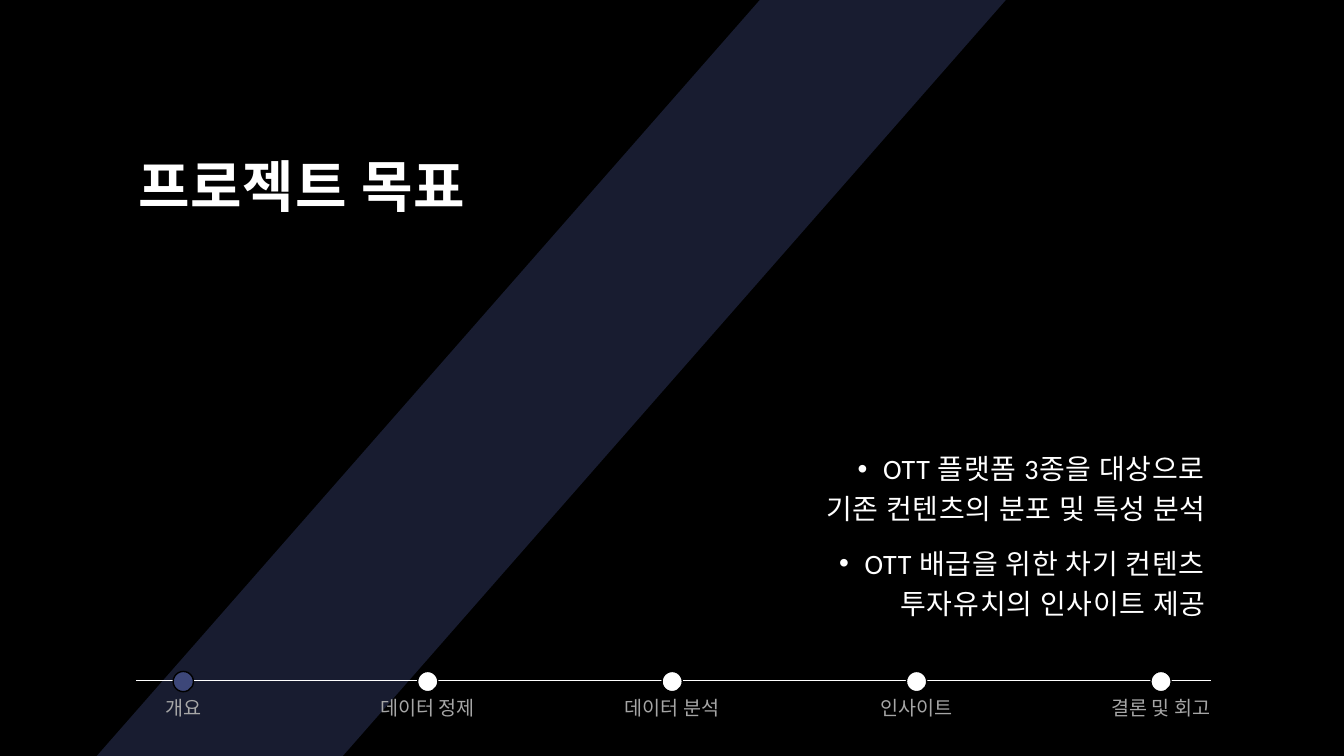
import pptx
import pptx.dml.color
import pptx.enum.shapes
import pptx.enum.text
import pptx.oxml.ns
import pptx.util
from lxml import etree

Cm = pptx.util.Cm
Pt = pptx.util.Pt
RGBColor = pptx.dml.color.RGBColor
Align = pptx.enum.text.PP_ALIGN
Anchor = pptx.enum.text.MSO_ANCHOR
qn = pptx.oxml.ns.qn

BLACK = RGBColor(0x00, 0x00, 0x00)
WHITE = RGBColor(0xFF, 0xFF, 0xFF)
NAVY = RGBColor(0x18, 0x1C, 0x30)
INDIGO = RGBColor(0x3D, 0x47, 0x79)
GREY = RGBColor(0xA6, 0xA6, 0xA6)

FONT = "Calibri"
STEPS = ["개요", "데이터 정제", "데이터 분석", "인사이트", "결론 및 회고"]
GOALS = [
    ["OTT 플랫폼 3종을 대상으로", "기존 컨텐츠의 분포 및 특성 분석"],
    ["OTT 배급을 위한 차기 컨텐츠", "투자유치의 인사이트 제공"],
]


def add_band(page):
    """Draw the diagonal band behind the text."""
    corners = [(19.15, 0), (25.35, 0), (8.64, 19.05), (2.44, 19.05)]
    points = [(Cm(x), Cm(y)) for x, y in corners]
    builder = page.shapes.build_freeform(*points[0])
    builder.add_line_segments(points[1:], close=True)
    band = builder.convert_to_shape()
    band.shadow.inherit = False
    band.fill.solid()
    band.fill.fore_color.rgb = NAVY
    band.line.fill.background()


def add_box(page, left, top, width, height):
    """Add a wrapping text box and return its text frame."""
    box = page.shapes.add_textbox(Cm(left), Cm(top), Cm(width), Cm(height))
    box.text_frame.word_wrap = True
    return box.text_frame


def set_margins(frame):
    """Apply the wider margins of the title and the goals."""
    frame.margin_left = frame.margin_right = frame.margin_top = Cm(0.3)
    frame.margin_bottom = Cm(0.25)


def add_span(para, text, size, color, bold=False, spacing=0):
    """Add one formatted run, with letter spacing in points."""
    span = para.add_run()
    span.text = text
    span.font.name = FONT
    span.font.size = Pt(size)
    span.font.bold = bold
    span.font.color.rgb = color
    if spacing:
        span.font._element.set("spc", str(round(spacing * 100)))


def add_bullet(para):
    """Give a paragraph a round bullet with a hanging indent."""
    properties = para._p.get_or_add_pPr()
    properties.set("marL", str(Cm(0.64)))
    properties.set("indent", str(Cm(-0.64)))
    font = etree.SubElement(properties, qn("a:buFont"))
    font.set("typeface", "Arial")
    bullet = etree.SubElement(properties, qn("a:buChar"))
    bullet.set("char", "•")


def add_title(page, text):
    """Add the slide title."""
    frame = add_box(page, 3.18, 3.35, 10.62, 5.33)
    set_margins(frame)
    para = frame.paragraphs[0]
    para.line_spacing = 1.1
    add_span(para, text, 40, WHITE, bold=True, spacing=0.7)


def add_goals(page, goals):
    """Add the right-aligned bulleted goals."""
    frame = add_box(page, 17.98, 6.91, 12.7, 8.97)
    set_margins(frame)
    frame.vertical_anchor = Anchor.BOTTOM
    for index, lines in enumerate(goals):
        para = frame.add_paragraph() if index else frame.paragraphs[0]
        para.alignment = Align.RIGHT
        para.line_spacing = 1.2
        para.space_before = Pt(10)
        add_bullet(para)
        for number, line in enumerate(lines):
            if number:
                para.add_line_break()
            add_span(para, line, 20, WHITE, spacing=0.5)


def add_track(page):
    """Draw the line that joins the steps."""
    track = page.shapes.add_connector(
        pptx.enum.shapes.MSO_CONNECTOR.STRAIGHT,
        Cm(3.43), Cm(17.15), Cm(30.53), Cm(17.15))
    track.line.color.rgb = WHITE
    track.line.width = Pt(1)
    etree.SubElement(track._element.spPr, qn("a:effectLst"))


def add_step(page, center, label, color):
    """Add one step: a dot on the track and its label below."""
    size, width = 0.51, 3.84
    dot = page.shapes.add_shape(
        pptx.enum.shapes.MSO_SHAPE.OVAL,
        Cm(center - size / 2), Cm(16.92), Cm(size), Cm(size))
    dot.shadow.inherit = False
    dot.fill.solid()
    dot.fill.fore_color.rgb = color
    dot.line.color.rgb = BLACK
    dot.line.width = Pt(1)
    frame = add_box(page, center - width / 2, 17.4, width, 0.86)
    frame.auto_size = pptx.enum.text.MSO_AUTO_SIZE.SHAPE_TO_FIT_TEXT
    para = frame.paragraphs[0]
    para.alignment = Align.CENTER
    add_span(para, label, 14, GREY)


def main():
    """Build the project goal slide."""
    deck = pptx.Presentation()
    deck.slide_width = Cm(33.87)
    deck.slide_height = Cm(19.05)
    page = deck.slides.add_slide(deck.slide_layouts[6])
    page.background.fill.solid()
    page.background.fill.fore_color.rgb = BLACK
    add_band(page)
    add_title(page, "프로젝트 목표")
    add_goals(page, GOALS)
    add_track(page)
    for index, label in enumerate(STEPS):
        add_step(page, 4.62 + 6.16 * index, label, WHITE if index else INDIGO)
    deck.save("out.pptx")


if __name__ == "__main__":
    main()
